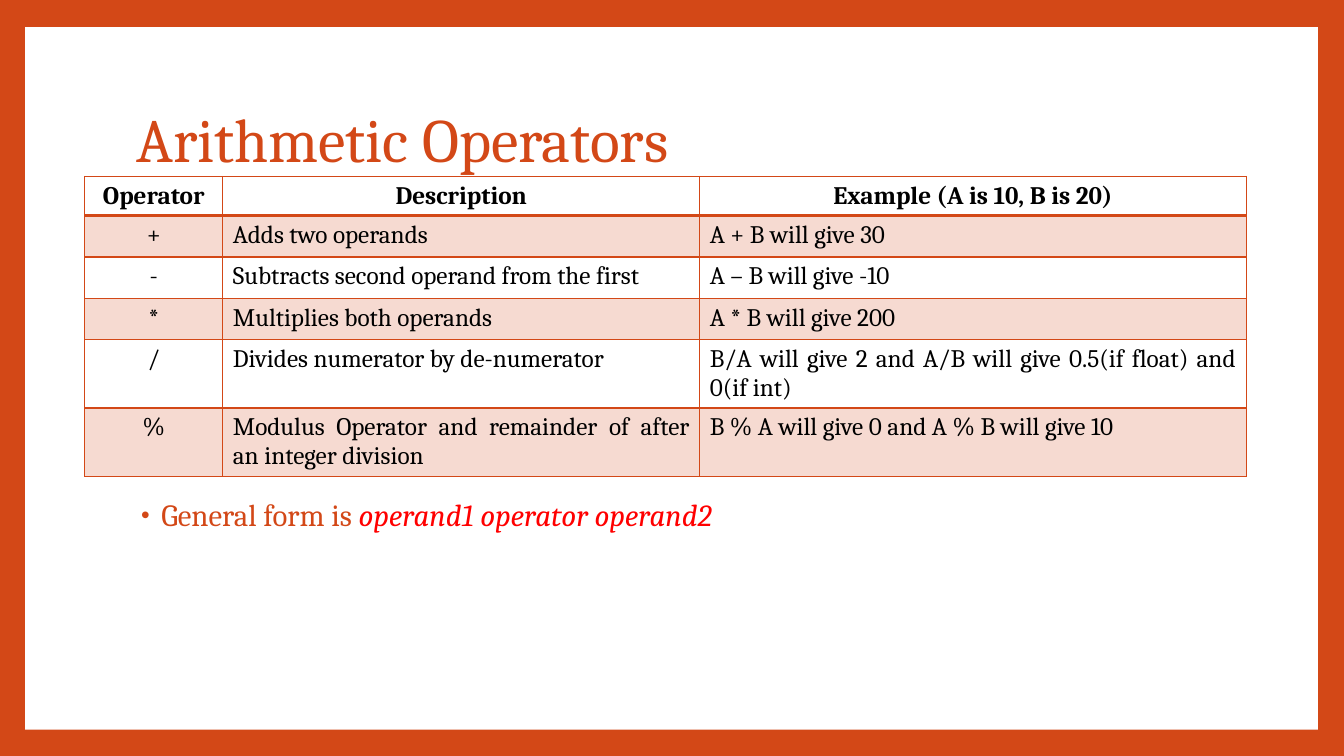
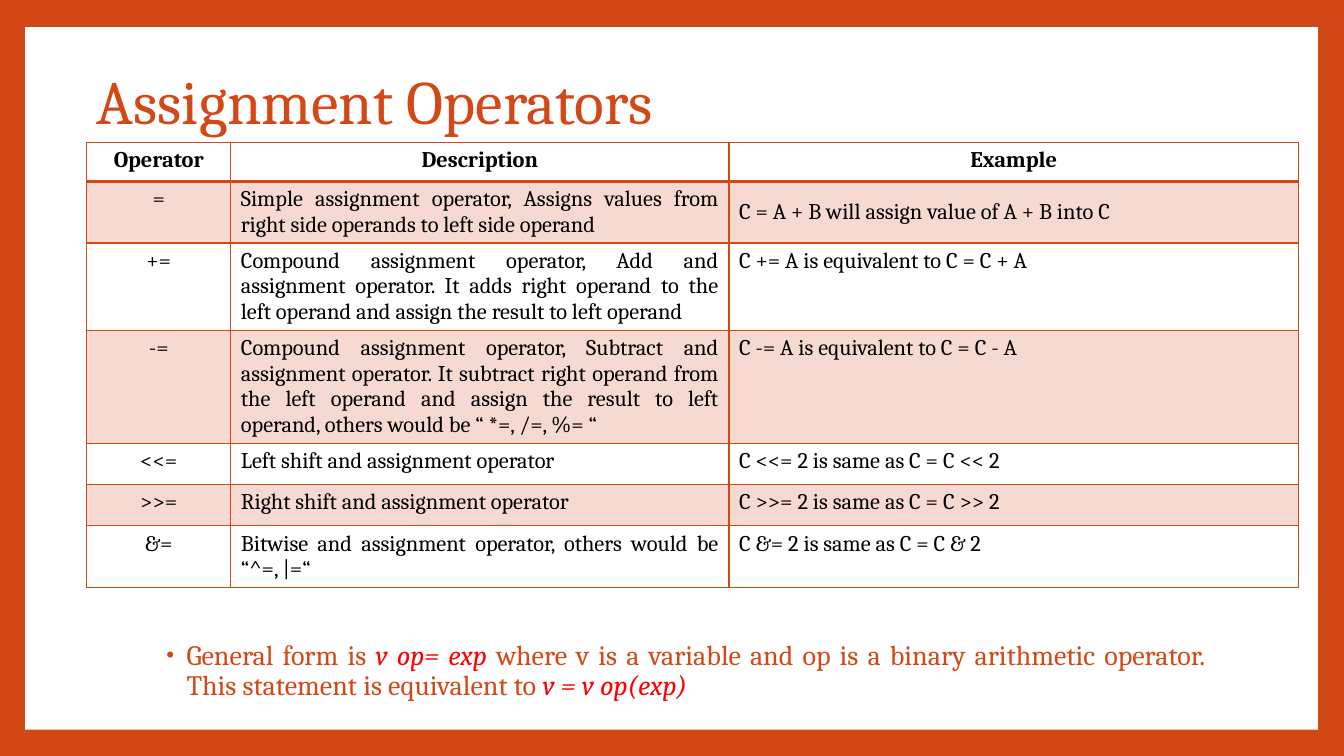
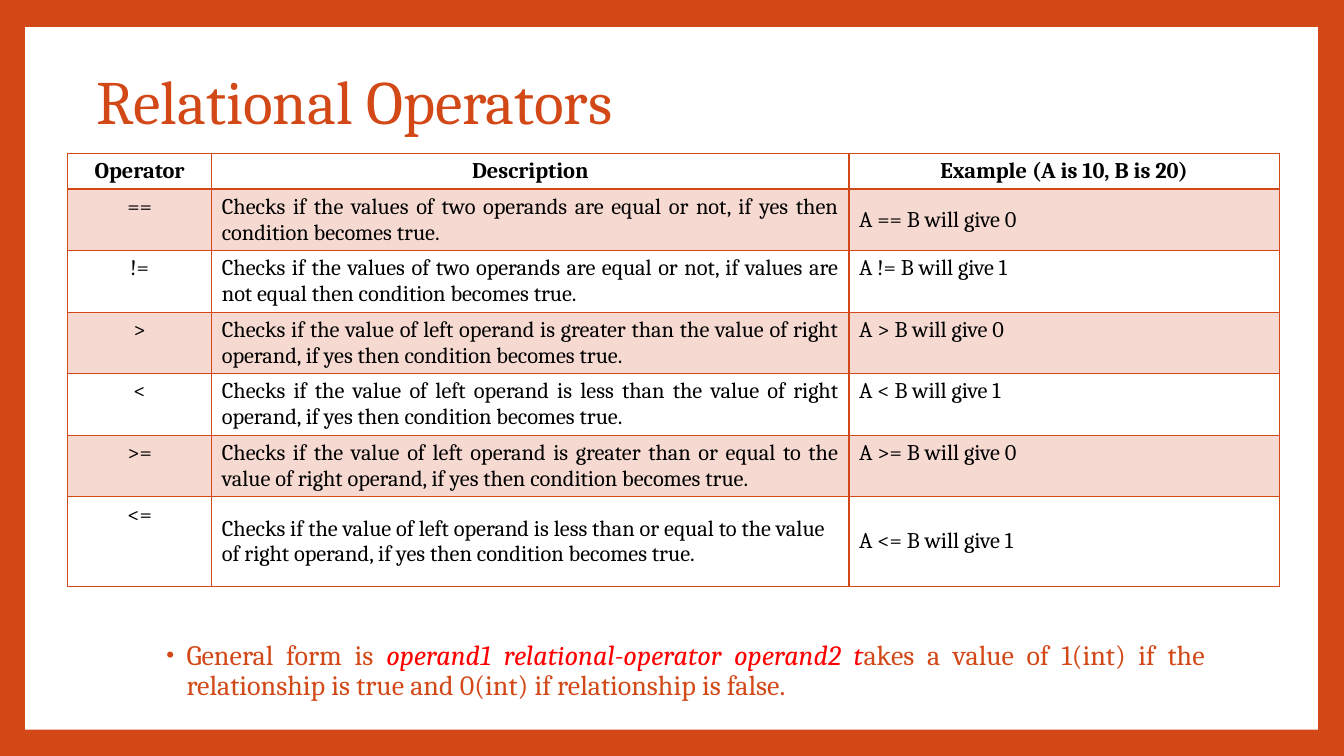
from lxml import etree
from pptx import Presentation
from pptx import util as u
from pptx.dml.color import RGBColor
from pptx.enum import shapes, text
from pptx.oxml.ns import qn

COLORS = {"accent": "D34817", "band": "F6DAD1", "panel": "FFFFFF",
          "text": "000000", "highlight": "FF0000"}
FONT = "Cambria"
WIDTH, HEIGHT = 13.33, 7.5
BODY_LEFT, CONTENT_WIDTH, TITLE_HEIGHT = 1.25, 10.8, 1.48
ALIGN = text.PP_ALIGN


def color(name):
    return RGBColor.from_string(COLORS[name])


def place(shape, left, top, width, height):
    shape.left, shape.top = u.Inches(left), u.Inches(top)
    shape.width, shape.height = u.Inches(width), u.Inches(height)


def add_run(paragraph, words, size, fill="text", bold=False, italic=False):
    run = paragraph.add_run()
    run.text = words
    font = run.font
    font.name, font.size, font.bold, font.italic = FONT, u.Pt(size), bold, italic
    font.color.rgb = color(fill)


def add_child(parent, tag, **attributes):
    return etree.SubElement(parent, qn(tag), attributes)


def add_bullet(paragraph, margin, indent=-0.2):
    properties = paragraph._p.get_or_add_pPr()
    properties.set("marL", str(u.Inches(margin)))
    properties.set("indent", str(u.Inches(indent)))
    add_child(add_child(properties, "a:buClr"), "a:srgbClr", val=COLORS["accent"])
    add_child(properties, "a:buSzPct", val="80000")
    add_child(properties, "a:buFont", typeface="Arial")
    add_child(properties, "a:buChar", char="•")


def set_borders(cell, bottom):
    properties = cell._tc.get_or_add_tcPr()
    widths = {"a:lnL": 1, "a:lnR": 1, "a:lnT": 1, "a:lnB": bottom}
    for position, (tag, width) in enumerate(widths.items()):
        line = etree.Element(qn(tag), w=str(u.Pt(width)))
        add_child(add_child(line, "a:solidFill"), "a:srgbClr", val=COLORS["accent"])
        properties.insert(position, line)


def frame_layout(presentation, layout, slide):
    """Give the master its coloured background and the layout its white panel."""
    background = presentation.slide_master.background.fill
    background.solid()
    background.fore_color.rgb = color("accent")
    panel = slide.shapes.add_shape(shapes.MSO_SHAPE.RECTANGLE, 0, 0, 0, 0)
    place(panel, 0.25, 0.27, 12.82, 6.97)
    panel.shadow.inherit = False
    panel.fill.solid()
    panel.fill.fore_color.rgb = color("panel")
    panel.line.fill.background()
    layout.shapes.element.insert(2, panel._element)


def fill_title(slide, words, left, top):
    title = slide.shapes.title
    place(title, left, top, CONTENT_WIDTH, TITLE_HEIGHT)
    frame = title.text_frame
    frame.auto_size = text.MSO_AUTO_SIZE.NONE
    frame.vertical_anchor = text.MSO_ANCHOR.MIDDLE
    paragraph = frame.paragraphs[0]
    paragraph.alignment, paragraph.line_spacing = ALIGN.LEFT, 0.9
    add_run(paragraph, words, 44, "accent")


def fill_general_form(slide, runs, top, size, level):
    """Write the bulleted rule; every second run is the highlighted syntax."""
    body = slide.placeholders[1]
    place(body, BODY_LEFT, top, CONTENT_WIDTH, 0.8)
    frame = body.text_frame
    frame.auto_size = text.MSO_AUTO_SIZE.NONE
    frame.vertical_anchor = text.MSO_ANCHOR.TOP
    paragraph = frame.paragraphs[0]
    paragraph.level = level
    add_bullet(paragraph, 0.25 * (level + 1))
    paragraph.alignment = ALIGN.JUSTIFY if level else ALIGN.LEFT
    paragraph.line_spacing, paragraph.space_before = 0.9, u.Pt(0)
    for index, words in enumerate(runs):
        syntax = index % 2 == 1
        add_run(paragraph, words, size, "highlight" if syntax else "accent", italic=syntax)


def add_operator_table(slide, rows, left, top, columns, heights, size,
                       middle_rows=(), left_rows=()):
    frame = slide.shapes.add_table(
        len(rows), len(columns), u.Inches(left), u.Inches(top),
        u.Inches(sum(columns)), u.Inches(sum(heights)))
    table = frame.table
    table.horz_banding = False
    for column, width in zip(table.columns, columns):
        column.width = u.Inches(width)
    for row, height in zip(table.rows, heights):
        row.height = u.Inches(height)
    for r, values in enumerate(rows):
        header = r == 0
        for c, words in enumerate(values):
            cell = table.cell(r, c)
            if r % 2:
                cell.fill.solid()
                cell.fill.fore_color.rgb = color("band")
            else:
                cell.fill.background()
            set_borders(cell, 2 if header else 1)
            middle = c > 0 and r in middle_rows
            cell.vertical_anchor = text.MSO_ANCHOR.MIDDLE if middle else text.MSO_ANCHOR.TOP
            paragraph = cell.text_frame.paragraphs[0]
            if header or c == 0:
                paragraph.alignment = ALIGN.CENTER
            else:
                paragraph.alignment = ALIGN.LEFT if r in left_rows else ALIGN.JUSTIFY
            add_run(paragraph, words, size, bold=header)


ARITHMETIC = [
    ("Operator", "Description", "Example (A is 10, B is 20)"),
    ("+", "Adds two operands", "A + B will give 30"),
    ("-", "Subtracts second operand from the first", "A – B will give -10"),
    ("*", "Multiplies both operands", "A * B will give 200"),
    ("/", "Divides numerator by de-numerator",
     "B/A will give 2 and A/B will give 0.5(if float) and 0(if int)"),
    ("%", "Modulus Operator and remainder of after an integer division",
     "B % A will give 0 and A % B will give 10"),
]

ASSIGNMENT = [
    ("Operator", "Description", "Example"),
    ("=", "Simple assignment operator, Assigns values from right side operands "
     "to left side operand", "C = A + B will assign value of A + B into C"),
    ("+=", "Compound assignment operator, Add and assignment operator. It adds right "
     "operand to the left operand and assign the result to left operand",
     "C += A is equivalent to C = C + A"),
    ("-=", "Compound assignment operator, Subtract and assignment operator. It subtract "
     "right operand from the left operand and assign the result to left operand, "
     "others would be “ *=, /=, %= “", "C -= A is equivalent to C = C - A"),
    ("<<=", "Left shift and assignment operator", "C <<= 2 is same as C = C << 2"),
    (">>=", "Right shift and assignment operator", "C >>= 2 is same as C = C >> 2"),
    ("&=", "Bitwise and assignment operator, others would be “^=, |=“",
     "C &= 2 is same as C = C & 2"),
]


def relational_rows():
    values = "Checks if the values of two operands are equal or not, if "
    left = "Checks if the value of left operand is "
    right = " the value of right operand, if yes then condition becomes true."
    checks = [
        ("==", values + "yes then condition becomes true.", 0),
        ("!=", values + "values are not equal then condition becomes true.", 1),
        (">", left + "greater than" + right, 0),
        ("<", left + "less than" + right, 1),
        (">=", left + "greater than or equal to" + right, 0),
        ("<=", left + "less than or equal to" + right, 1),
    ]
    return ARITHMETIC[:1] + [(operator, description, f"A {operator} B will give {result}")
                             for operator, description, result in checks]


def main():
    presentation = Presentation()
    presentation.slide_width, presentation.slide_height = u.Inches(WIDTH), u.Inches(HEIGHT)
    layout = presentation.slide_layouts[1]
    arithmetic, assignment, relational = [
        presentation.slides.add_slide(layout) for _ in range(3)]
    frame_layout(presentation, layout, arithmetic)

    fill_title(arithmetic, "Arithmetic Operators", BODY_LEFT, 0.67)
    fill_general_form(arithmetic, ["General form is ", "operand1 operator operand2"],
                      top=4.91, size=22, level=0)
    add_operator_table(arithmetic, ARITHMETIC, 0.84, 1.75, [1.37, 4.73, 5.42],
                       [0.39] + [0.41] * 5, size=18)

    fill_title(assignment, "Assignment Operators", 0.86, 0.3)
    fill_general_form(
        assignment,
        ["General form is ", "v op= exp ",
         "where v is a variable and op is a binary arithmetic operator. "
         "This statement is equivalent to ", "v = v op(exp)"],
        top=6.31, size=20, level=1)
    add_operator_table(assignment, ASSIGNMENT, 0.86, 1.41, [1.43, 4.94, 5.65],
                       [0.39, 0.57] + [0.41] * 5, size=16, middle_rows=[1])

    fill_title(relational, "Relational Operators", 0.86, 0.3)
    fill_general_form(
        relational,
        ["General form is ", "operand1 relational-operator operand2 t",
         "akes a value of 1(int) if the relationship is true "
         "and 0(int) if relationship is false."],
        top=6.31, size=20, level=1)
    add_operator_table(relational, relational_rows(), 0.67, 1.52, [1.43, 6.32, 4.27],
                       [0.33] + [0.58] * 5 + [0.89], size=16,
                       middle_rows=[1, 6], left_rows=[6])

    presentation.save("out.pptx")


if __name__ == "__main__":
    main()
